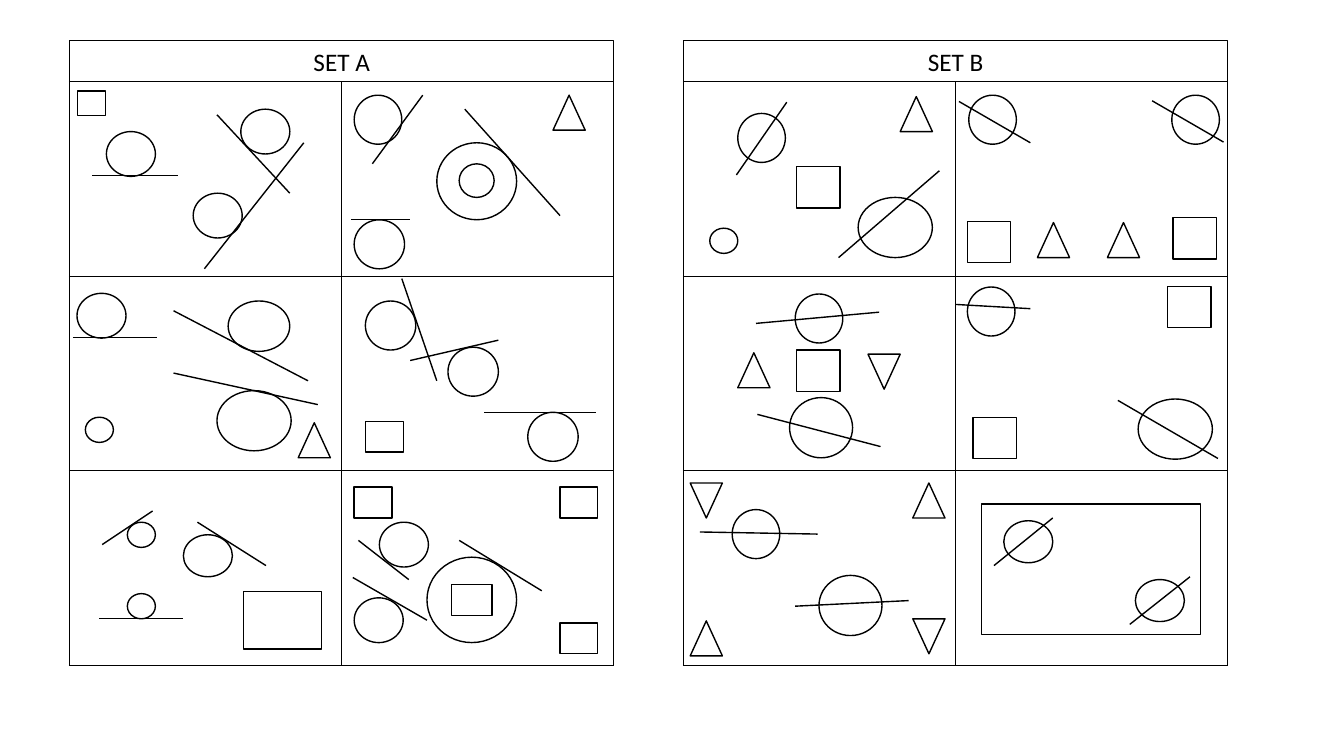
from dataclasses import dataclass

from lxml.etree import SubElement
from pptx import Presentation
from pptx.dml.color import RGBColor
from pptx.enum.shapes import MSO_CONNECTOR, MSO_SHAPE
from pptx.enum.text import MSO_ANCHOR, PP_ALIGN
from pptx.oxml.ns import qn
from pptx.shapes.autoshape import Shape
from pptx.slide import Slide
from pptx.table import _Cell
from pptx.util import Pt

COLOURS = {"ink": "000000"}
FONT = "Calibri"
INK = RGBColor.from_string(COLOURS["ink"])
LINE_WIDTH = Pt(1)

PANEL_WIDTH = 388.8
HEADER_TOP, HEADER_HEIGHT = 28.8, 29.5
GRID_TOP = HEADER_TOP + HEADER_HEIGHT
ROWS, COLUMNS = 3, 2
ROW_HEIGHT = 139


@dataclass(frozen=True)
class Panel:
    title: str
    left: float


@dataclass(frozen=True)
class Figure:
    preset: MSO_SHAPE
    width: float
    height: float
    spots: tuple[tuple[float, float], ...]
    rotation: float = 0


@dataclass(frozen=True)
class Stroke:
    start_x: float
    start_y: float
    end_x: float
    end_y: float


PANELS = (Panel("SET A", 49.7), Panel("SET B", 488.2))

CIRCLES = (
    Figure(MSO_SHAPE.OVAL, 35, 32, (
        (76, 94), (138, 138), (172, 78), (55, 209.5), (271, 373), (253, 427))),
    Figure(MSO_SHAPE.OVAL, 35, 30, ((131, 382), (717, 372), (811, 414))),
    Figure(MSO_SHAPE.OVAL, 34, 35, (
        (253, 68), (527, 81), (691, 205), (568, 210), (692, 68), (837, 68), (523, 364))),
    Figure(MSO_SHAPE.OVAL, 36, 35, ((253, 157), (261, 215), (320, 248), (377, 294.5))),
    Figure(MSO_SHAPE.OVAL, 53, 43, ((155, 279), (613, 141), (813, 285))),
    Figure(MSO_SHAPE.OVAL, 20, 18, ((61, 298), (91, 373), (91, 424), (507, 163))),
    Figure(MSO_SHAPE.OVAL, 45, 43, ((564, 284), (585, 411))),
    Figure(MSO_SHAPE.OVAL, 44, 36, ((163, 215),)),
    Figure(MSO_SHAPE.OVAL, 57, 55, ((312, 102),)),
    Figure(MSO_SHAPE.OVAL, 25, 24, ((328, 117),)),
    Figure(MSO_SHAPE.OVAL, 64, 61, ((305, 398),)),
)

BOXES = (
    Figure(MSO_SHAPE.RECTANGLE, 31, 29.5, (
        (569, 119), (695, 298), (834, 204.5), (569, 250), (691, 158), (838, 155.5))),
    Figure(MSO_SHAPE.RECTANGLE, 27, 22, ((261, 301), (253, 348), (400, 348), (400, 445))),
    Figure(MSO_SHAPE.RECTANGLE, 20, 17.5, ((55.5, 65),)),
    Figure(MSO_SHAPE.RECTANGLE, 29, 22, ((322.5, 417.5),)),
    Figure(MSO_SHAPE.RECTANGLE, 55.5, 41, ((174, 422.5),)),
    Figure(MSO_SHAPE.RECTANGLE, 156.5, 93.5, ((701, 360),)),
)

TRIANGLES = (
    Figure(MSO_SHAPE.ISOSCELES_TRIANGLE, 23, 25, (
        (395, 68), (213, 302), (643, 69), (527, 252),
        (741, 159), (791, 159), (652, 345), (493, 443.5))),
    Figure(MSO_SHAPE.ISOSCELES_TRIANGLE, 23, 25, (
        (620, 253), (493, 345), (652, 442)), rotation=180),
)

TANGENTS = (
    Stroke(155, 82, 207, 138),
    Stroke(217, 102, 146, 192),
    Stroke(66, 125.5, 127, 125.5),
    Stroke(332, 78, 400, 154),
    Stroke(302, 68, 266, 117),
    Stroke(251, 157, 293, 157),
    Stroke(52, 241, 112, 241),
    Stroke(124, 222, 220, 272),
    Stroke(124, 266.5, 227, 289),
    Stroke(293, 257.5, 356, 243),
    Stroke(287, 199, 312, 272),
    Stroke(346, 294.5, 426, 294.5),
    Stroke(328, 386, 387, 422),
    Stroke(256, 386, 292, 414),
    Stroke(252, 412.5, 305, 443),
    Stroke(141, 373, 190, 404),
    Stroke(73, 389, 109, 365),
    Stroke(71, 442, 131, 442),
)

SECANTS = (
    Stroke(562, 73, 526, 125),
    Stroke(671, 122, 599, 184),
    Stroke(752, 370, 710, 404),
    Stroke(850, 412, 807, 446),
    Stroke(736, 220.5, 683, 217.5),
    Stroke(870, 327.5, 798.5, 286),
    Stroke(628, 223, 540, 231),
    Stroke(629, 319, 541, 296),
    Stroke(736, 102, 685, 72.5),
    Stroke(874, 101.5, 823, 72),
    Stroke(584, 381.5, 500, 380),
    Stroke(649, 429, 568, 433),
)


def draw_outline(slide: Slide, preset: MSO_SHAPE, left: float, top: float,
                 width: float, height: float) -> Shape:
    outline = slide.shapes.add_shape(preset, Pt(left), Pt(top), Pt(width), Pt(height))
    outline.shadow.inherit = False
    outline.fill.background()
    outline.line.color.rgb = INK
    outline.line.width = LINE_WIDTH
    return outline


def draw_figure(slide: Slide, figure: Figure) -> None:
    for left, top in figure.spots:
        outline = draw_outline(slide, figure.preset, left, top, figure.width, figure.height)
        outline.rotation = figure.rotation


def draw_stroke(slide: Slide, stroke: Stroke) -> None:
    connector = slide.shapes.add_connector(
        MSO_CONNECTOR.STRAIGHT, Pt(stroke.start_x), Pt(stroke.start_y),
        Pt(stroke.end_x), Pt(stroke.end_y))
    connector.line.color.rgb = INK
    connector.line.width = LINE_WIDTH
    SubElement(connector.element.spPr, qn("a:effectLst"))


def frame_cell(cell: _Cell) -> None:
    properties = cell._tc.get_or_add_tcPr()
    for side in ("a:lnL", "a:lnR", "a:lnT", "a:lnB"):
        border = SubElement(properties, qn(side), w=str(LINE_WIDTH))
        fill = SubElement(border, qn("a:solidFill"))
        SubElement(fill, qn("a:srgbClr"), val=COLOURS["ink"])
    cell.fill.background()


def draw_panel(slide: Slide, panel: Panel) -> None:
    grid = slide.shapes.add_table(
        ROWS, COLUMNS, Pt(panel.left), Pt(GRID_TOP),
        Pt(PANEL_WIDTH), Pt(ROWS * ROW_HEIGHT)).table
    grid.first_row = False
    grid.horz_banding = False
    for cell in grid.iter_cells():
        frame_cell(cell)

    header = draw_outline(slide, MSO_SHAPE.RECTANGLE, panel.left, HEADER_TOP,
                          PANEL_WIDTH, HEADER_HEIGHT)
    header.text_frame.text = panel.title
    header.text_frame.vertical_anchor = MSO_ANCHOR.MIDDLE
    paragraph = header.text_frame.paragraphs[0]
    paragraph.alignment = PP_ALIGN.CENTER
    paragraph.font.name = FONT
    paragraph.font.size = Pt(18)
    paragraph.font.color.rgb = INK


def main() -> None:
    presentation = Presentation()
    presentation.slide_width = Pt(960)
    presentation.slide_height = Pt(540)
    slide = presentation.slides.add_slide(presentation.slide_layouts[6])
    for panel in PANELS:
        draw_panel(slide, panel)
    for figure in CIRCLES + BOXES + TRIANGLES:
        draw_figure(slide, figure)
    for stroke in TANGENTS + SECANTS:
        draw_stroke(slide, stroke)
    presentation.save("out.pptx")


if __name__ == "__main__":
    main()
